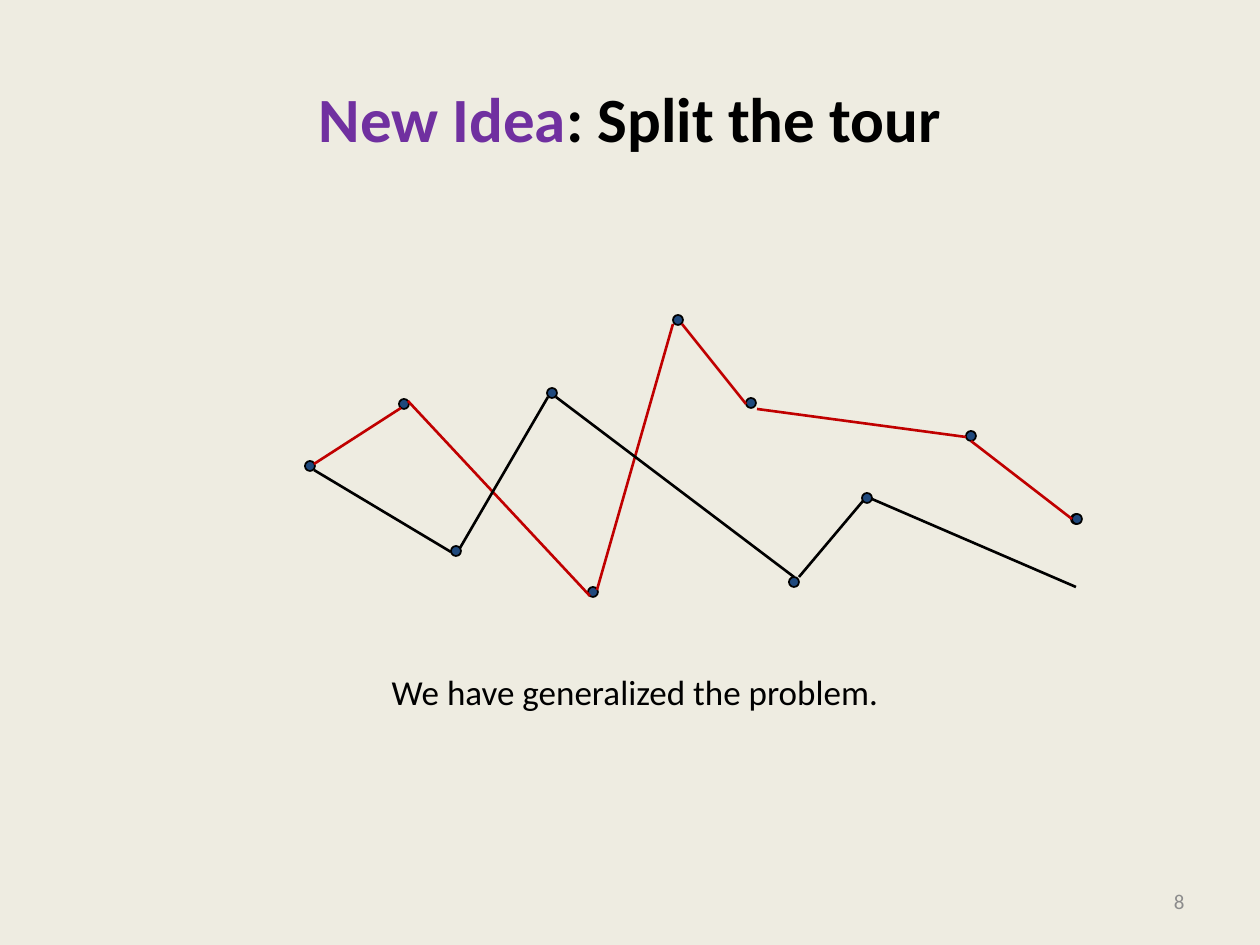
from dataclasses import dataclass

from lxml import etree
from pptx import Presentation
from pptx.dml.color import RGBColor
from pptx.enum.shapes import MSO_CONNECTOR, MSO_SHAPE
from pptx.enum.text import MSO_ANCHOR, PP_ALIGN
from pptx.oxml.ns import qn
from pptx.util import Emu, Pt

STRAIGHT = MSO_CONNECTOR.STRAIGHT
OVAL = MSO_SHAPE.OVAL
MIDDLE = MSO_ANCHOR.MIDDLE
CENTER, RIGHT = PP_ALIGN.CENTER, PP_ALIGN.RIGHT

PX_PER_INCH = 126
DOT = 10


@dataclass(frozen=True)
class Theme:
    font: str = "Calibri"
    background: str = "EEECE1"
    accent: str = "7030A0"
    ink: str = "000000"
    muted: str = "8C8C8C"
    city: str = "1F497D"
    red: str = "C00000"
    title_pt: int = 36
    body_pt: int = 20
    number_pt: int = 12
    outline_pt: float = 1
    path_pt: float = 1.5


@dataclass(frozen=True)
class City:
    left: int
    top: int


@dataclass(frozen=True)
class Leg:
    x1: int
    y1: int
    x2: int
    y2: int
    color: str


THEME = Theme()

CITIES = [
    City(305, 461), City(746, 398), City(547, 388), City(451, 546),
    City(588, 587), City(399, 399), City(673, 315), City(862, 493),
    City(789, 577), City(966, 431),
]
END_CITIES = [City(1071, 514), City(1072, 514)]

RED_LEGS = [
    Leg(757, 409, 966, 437, THEME.red),
    Leg(682, 324, 746, 404, THEME.red),
    Leg(673, 324, 597, 590, THEME.red),
    Leg(590, 596, 408, 401, THEME.red),
    Leg(401, 408, 314, 464, THEME.red),
]
BLACK_LEGS = [
    Leg(451, 552, 314, 470, THEME.ink),
    Leg(460, 548, 548, 397, THEME.ink),
    Leg(794, 577, 556, 397, THEME.ink),
    Leg(799, 577, 863, 501, THEME.ink),
    Leg(872, 499, 1076, 587, THEME.ink),
]
LAST_LEG = Leg(971, 441, 1072, 519, THEME.red)


def px(n: int) -> Emu:
    return Emu(round(n * 914400 / PX_PER_INCH))


def rgb(color: str) -> RGBColor:
    return RGBColor.from_string(color)


def write(tf, runs: list[tuple[str, str]], size: int, align, bold: bool = False) -> None:
    """Fill a text frame with one paragraph of coloured runs."""
    tf.word_wrap = True
    tf.vertical_anchor = MIDDLE
    p = tf.paragraphs[0]
    p.alignment = align
    font_format = {"name": THEME.font, "size": Pt(size), "bold": bold}
    for text, color in runs:
        r = p.add_run()
        r.text = text
        for name, value in font_format.items():
            setattr(r.font, name, value)
        r.font.color.rgb = rgb(color)


def place(sp, left: int, top: int, width: int, height: int) -> None:
    box = {"left": left, "top": top, "width": width, "height": height}
    for name, value in box.items():
        setattr(sp, name, px(value))


def add_label(s, box: tuple[int, int, int, int], text: str, color: str, size: int, align) -> None:
    sp = s.shapes.add_textbox(*map(px, box))
    write(sp.text_frame, [(text, color)], size, align)


def add_city(s, city: City) -> None:
    sp = s.shapes.add_shape(OVAL, px(city.left), px(city.top), px(DOT), px(DOT))
    sp.shadow.inherit = False
    sp.fill.solid()
    sp.fill.fore_color.rgb = rgb(THEME.city)
    sp.line.color.rgb = rgb(THEME.ink)
    sp.line.width = Pt(THEME.outline_pt)


def add_leg(s, leg: Leg) -> None:
    sp = s.shapes.add_connector(STRAIGHT, px(leg.x1), px(leg.y1), px(leg.x2), px(leg.y2))
    sp.line.color.rgb = rgb(leg.color)
    sp.line.width = Pt(THEME.path_pt)
    etree.SubElement(sp._element.spPr, qn("a:effectLst"))


def main() -> None:
    prs = Presentation()
    prs.slide_width, prs.slide_height = px(1260), px(945)
    s = prs.slides.add_slide(prs.slide_layouts.get_by_name("Title Only"))
    s.background.fill.solid()
    s.background.fill.fore_color.rgb = rgb(THEME.background)

    # Title
    title = s.shapes.title
    place(title, 63, 38, 1134, 158)
    write(title.text_frame, [("New Idea", THEME.accent), (": Split the tour", THEME.ink)],
          THEME.title_pt, CENTER, bold=True)

    # Caption and slide number
    add_label(s, (21, 664, 1228, 54), "We have generalized the problem.",
              THEME.ink, THEME.body_pt, CENTER)
    add_label(s, (903, 876, 294, 50), "8", THEME.muted, THEME.number_pt, RIGHT)

    # Tour: cities, the two paths, then the shared end point
    for city in CITIES:
        add_city(s, city)
    for leg in RED_LEGS + BLACK_LEGS:
        add_leg(s, leg)
    for city in END_CITIES:
        add_city(s, city)
    add_leg(s, LAST_LEG)

    prs.save("out.pptx")


if __name__ == "__main__":
    main()
